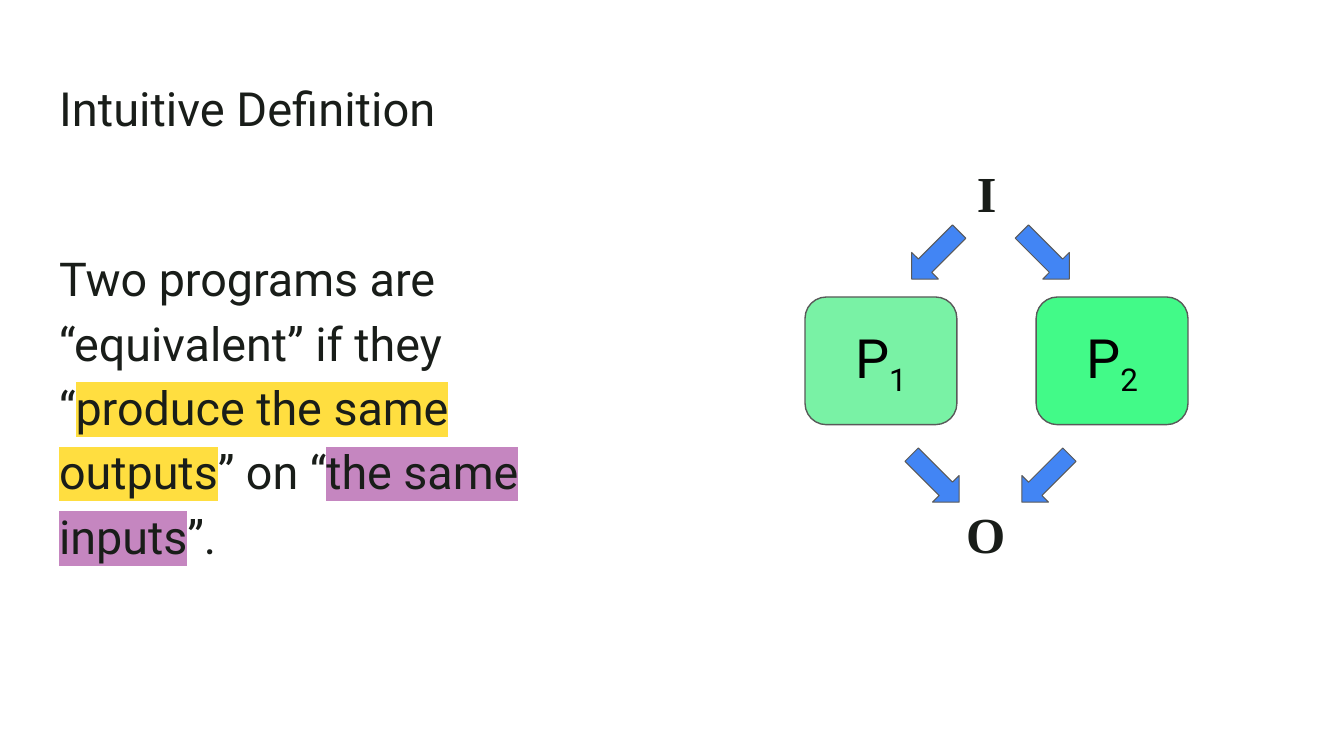
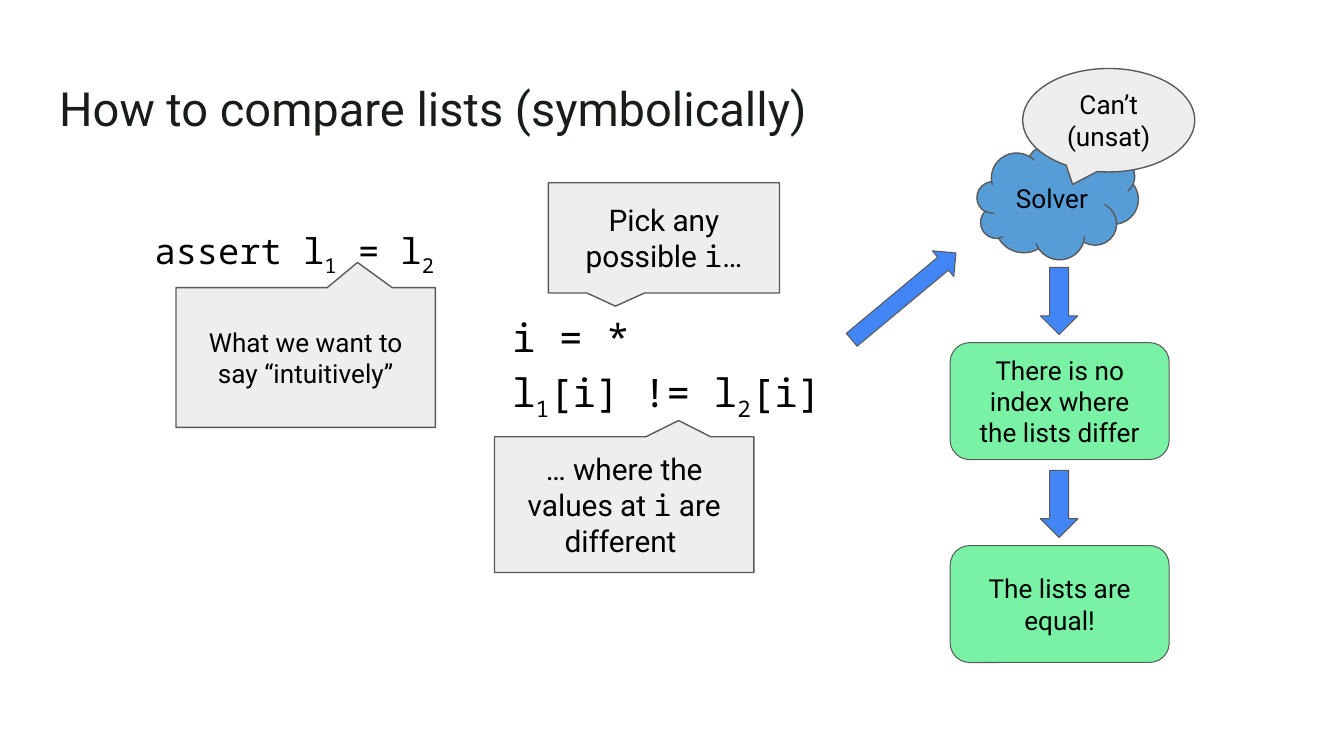
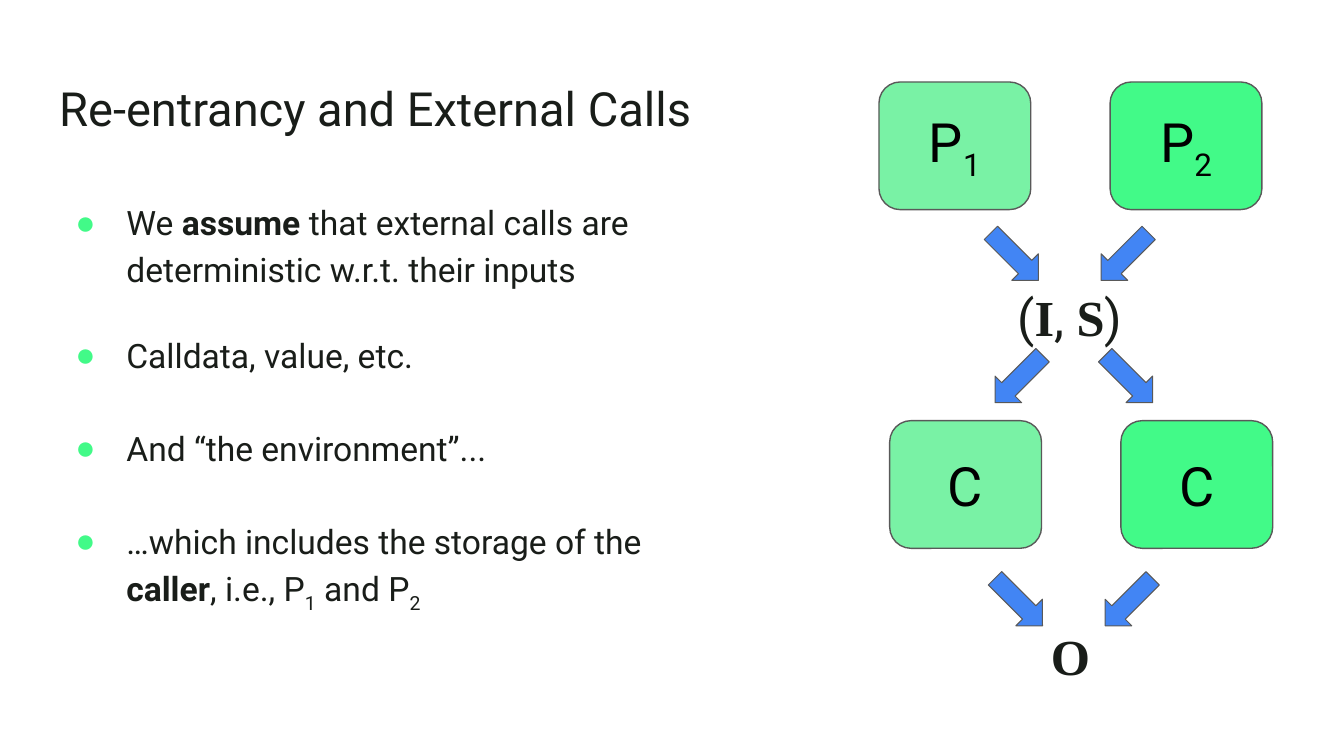
from lxml import etree
from pptx import Presentation
from pptx.dml.color import RGBColor
from pptx.enum import shapes, text
from pptx.oxml.ns import qn
from pptx.util import Inches, Pt

# Shared look
INK, BLACK, LINE = "191D19", "000000", "595959"
LIGHT_GREEN, GREEN = "79F2A5", "42FA88"
BLUE, SKY, GREY = "4285F4", "569CD6", "EEEEEE"
YELLOW, PURPLE = "FFDE40", "C586C0"
SANS, MONO, SERIF = "Roboto", "Noto Sans Mono", "Times New Roman"
SHAPE = shapes.MSO_SHAPE
LEFT, CENTER = text.PP_ALIGN.LEFT, text.PP_ALIGN.CENTER
TOP, MIDDLE = text.MSO_ANCHOR.TOP, text.MSO_ANCHOR.MIDDLE
DOWN_RIGHT, DOWN, DOWN_LEFT = 45, 90, 135
BOX_STEP, ARROW_STEP = 1.72, 0.82


def rgb(color):
    return RGBColor.from_string(color)


# Runs: a plain string, or a pair of string and options
def sub(label):
    return label, {"sub": True}


def bold(label, font=SANS):
    return label, {"bold": True, "font": font}


def code(label):
    return label, {"font": MONO}


def marked(label, color):
    return label, {"mark": color}


def add_runs(p, runs, size, font=SANS, color=BLACK):
    for run in [runs] if isinstance(runs, str) else runs:
        label, opts = (run, {}) if isinstance(run, str) else run
        r = p.add_run()
        r.text = label
        r.font.size = Pt(size)
        r.font.name = opts.get("font", font)
        r.font.bold = opts.get("bold", False)
        r.font.color.rgb = rgb(color)
        rpr = r.font._element
        if opts.get("sub"):
            rpr.set("baseline", "-25000")
        if "mark" in opts:
            mark = etree.Element(qn("a:highlight"))
            etree.SubElement(mark, qn("a:srgbClr"), val=opts["mark"])
            rpr.find(qn("a:solidFill")).addnext(mark)


def set_frame(sp, anchor):
    tf = sp.text_frame
    tf.word_wrap = True
    tf.auto_size = text.MSO_AUTO_SIZE.NONE
    tf.vertical_anchor = anchor
    tf.margin_left = tf.margin_right = Inches(0.1)
    tf.margin_top = tf.margin_bottom = Inches(0.1)
    return tf


def place(sp, x, y, w, h):
    sp.left, sp.top, sp.width, sp.height = map(Inches, (x, y, w, h))


# Placeholders
def add_slide(prs, layout, title, title_width):
    s = prs.slides.add_slide(prs.slide_layouts[layout])
    place(s.shapes.title, 0.34, 0.49, title_width, 0.63)
    p = set_frame(s.shapes.title, TOP).paragraphs[0]
    p.alignment = LEFT
    add_runs(p, title, 25.2, color=INK)
    return s


def set_bullet(p, bulleted):
    ppr = p._p.get_or_add_pPr()
    ppr.set("marL", str(Inches(0.5 if bulleted else 0)))
    ppr.set("indent", str(Inches(-0.38 if bulleted else 0)))
    if bulleted:
        color = etree.SubElement(ppr, qn("a:buClr"))
        etree.SubElement(color, qn("a:srgbClr"), val=GREEN)
        etree.SubElement(ppr, qn("a:buChar"), char="●")
    else:
        etree.SubElement(ppr, qn("a:buNone"))


def fill_body(sp, box, items, size, font=SANS, color=INK, bulleted=False, gaps=()):
    place(sp, *box)
    tf = set_frame(sp, TOP)
    for i, runs in enumerate(items):
        p = tf.paragraphs[0] if i == 0 else tf.add_paragraph()
        set_bullet(p, bulleted)
        p.alignment = LEFT
        p.line_spacing = 1.15
        p.space_before = Pt(0)
        p.space_after = Pt(gaps[i] if i < len(gaps) else 0)
        add_runs(p, runs, size, font, color)


# Diagram parts
def add_figure(s, kind, box, fill, runs=None, size=14, line=0.75, adj=()):
    sp = s.shapes.add_shape(kind, *map(Inches, box))
    sp.shadow.inherit = False
    sp.fill.solid()
    sp.fill.fore_color.rgb = rgb(fill)
    sp.line.color.rgb = rgb(LINE)
    sp.line.width = Pt(line)
    for i, value in enumerate(adj):
        sp.adjustments[i] = value
    if runs:
        p = set_frame(sp, MIDDLE).paragraphs[0]
        p.alignment = CENTER
        add_runs(p, runs, size)
    return sp


def add_arrow(s, x, y, angle, w=0.5, h=0.28):
    sp = add_figure(s, SHAPE.RIGHT_ARROW, (x, y, w, h), BLUE, line=0.54)
    sp.rotation = angle


def add_arrow_pair(s, x, y, angles):
    for i, angle in enumerate(angles):
        add_arrow(s, x + i * ARROW_STEP, y, angle)


def add_box_pair(s, x, y, labels):
    for i, (runs, fill) in enumerate(zip(labels, (LIGHT_GREEN, GREEN))):
        box = (x + i * BOX_STEP, y, 1.13, 0.95)
        add_figure(s, SHAPE.ROUNDED_RECTANGLE, box, fill, runs, 29)


def add_callout(s, box, tail, runs, size):
    add_figure(s, SHAPE.ROUNDED_RECTANGULAR_CALLOUT, box, GREY, runs, size,
               adj=(*tail, 0))


def add_symbol(s, x, y, w, runs):
    sp = s.shapes.add_textbox(*map(Inches, (x, y, w, 0.63)))
    p = set_frame(sp, TOP).paragraphs[0]
    p.alignment = CENTER
    add_runs(p, runs, 27, color=INK)


APART = (DOWN_LEFT, DOWN_RIGHT)
TOGETHER = (DOWN_RIGHT, DOWN_LEFT)
PROGRAMS = (["P", sub("1")], ["P", sub("2")])


def build_definition(prs):
    s = add_slide(prs, 1, "Intuitive Definition", 4.99)
    fill_body(s.placeholders[1], (0.34, 1.7, 4.2, 2.94), [[
        "Two programs are “equivalent” if they “",
        marked("produce the same outputs", YELLOW), "” on “",
        marked("the same inputs", PURPLE), "”."]], 25, gaps=[12])
    add_box_pair(s, 5.99, 2.21, PROGRAMS)
    add_symbol(s, 7.17, 1.11, 0.33, [bold("I", SERIF)])
    add_arrow_pair(s, 6.71, 1.76, APART)
    add_arrow_pair(s, 6.71, 3.42, TOGETHER)
    add_symbol(s, 7.06, 3.64, 0.55, [bold("O", SERIF)])


def build_lists(prs):
    s = add_slide(prs, 3, "How to compare lists (symbolically)", 6.1)

    # Code and its callouts
    fill_body(s.placeholders[1], (1.05, 1.55, 2.45, 0.54),
              [["assert l", sub("1"), " = l", sub("2")]], 19, MONO, BLACK)
    fill_body(s.placeholders[2], (3.71, 2.18, 2.72, 1.01),
              ["i = *", ["l", sub("1"), "[i] != l", sub("2"), "[i]"]],
              21, MONO, BLACK)
    add_callout(s, (1.31, 2.14, 1.93, 1.04), (0.2, -0.68),
                "What we want to say “intuitively”", 14)
    add_callout(s, (4.08, 1.36, 1.72, 0.82), (-0.21, 0.62),
                ["Pick any possible ", code("i"), "…"], 16)
    add_callout(s, (3.68, 3.25, 1.93, 1.01), (0.21, -0.62),
                ["… where the values at ", code("i"), " are different "], 16)

    # Conclusions below the solver
    conclusions = ("There is no index where the lists differ",
                   "The lists are equal!")
    for i, label in enumerate(conclusions):
        y = 2.1 + i * 1.51
        add_arrow(s, 7.63, y, DOWN)
        add_figure(s, SHAPE.ROUNDED_RECTANGLE, (7.07, y + 0.45, 1.63, 0.87),
                   LIGHT_GREEN, label, line=0.54)

    # Solver and its answer
    add_figure(s, SHAPE.CLOUD, (7.27, 1.06, 1.2, 0.87), SKY, "Solver")
    add_arrow(s, 6.22, 2.08, 320.2, 1.01, 0.25)
    add_figure(s, SHAPE.OVAL_CALLOUT, (7.61, 0.51, 1.28, 0.77), GREY,
               "Can’t (unsat)", adj=(-0.21, 0.62))


def build_calls(prs):
    s = add_slide(prs, 1, "Re-entrancy and External Calls", 5.4)
    fill_body(s.placeholders[1], (0.34, 1.36, 4.99, 3.41), [
        ["We ", bold("assume"),
         " that external calls are deterministic w.r.t. their inputs"],
        "Calldata, value, etc.",
        "And “the environment”...",
        ["…which includes the storage of the ", bold("caller"),
         ", i.e., P", sub("1"), " and P", sub("2")],
    ], 18, bulleted=True, gaps=[21.5, 25, 25])
    add_box_pair(s, 6.62, 3.13, ("C", "C"))
    add_symbol(s, 7.15, 2.03, 1.62, [
        "(", bold("I", SERIF), ",", bold(" S", SERIF), ")"])
    add_arrow_pair(s, 7.33, 2.68, APART)
    add_arrow_pair(s, 7.33, 4.34, TOGETHER)
    add_symbol(s, 7.69, 4.55, 0.55, [bold("O", SERIF)])
    add_box_pair(s, 6.54, 0.61, PROGRAMS)
    add_arrow_pair(s, 7.3, 1.77, TOGETHER)


def main():
    prs = Presentation()
    prs.slide_width, prs.slide_height = Inches(10), Inches(10 * 9 / 16)
    build_definition(prs)
    build_lists(prs)
    build_calls(prs)
    prs.save("out.pptx")


if __name__ == "__main__":
    main()
